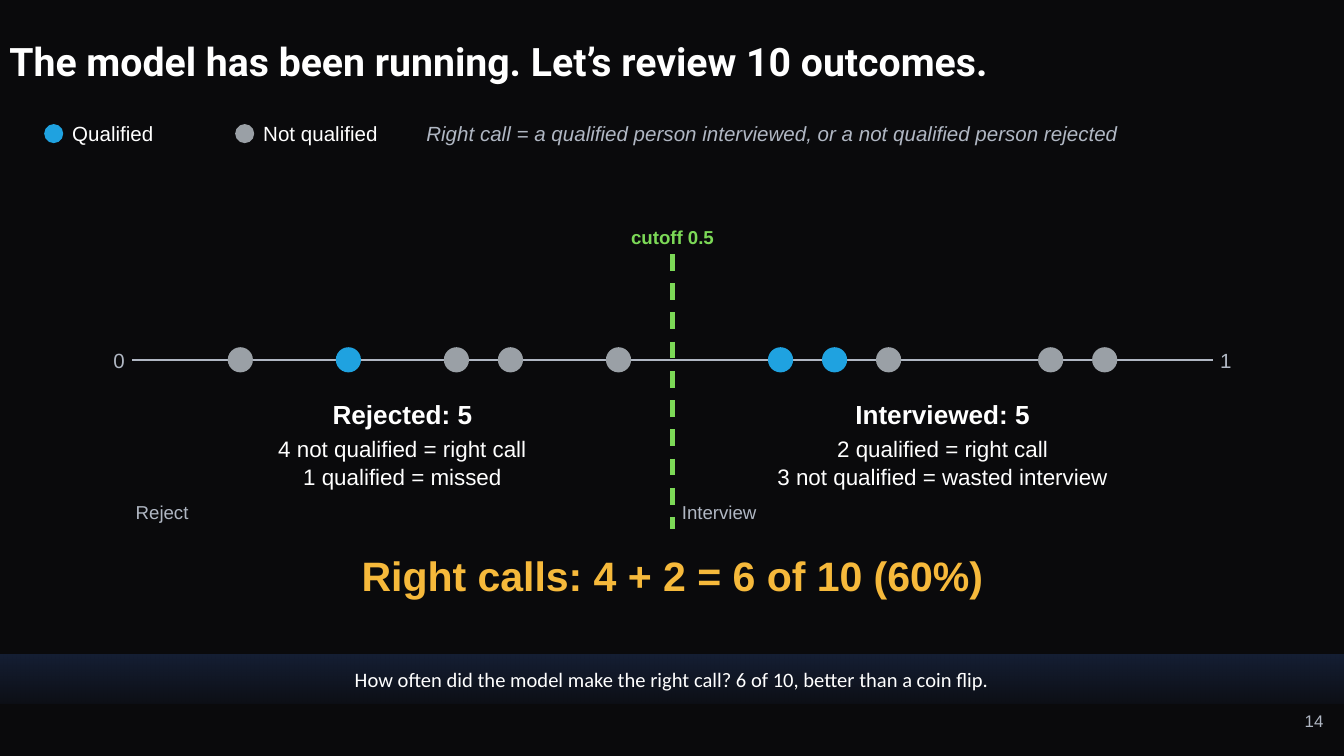
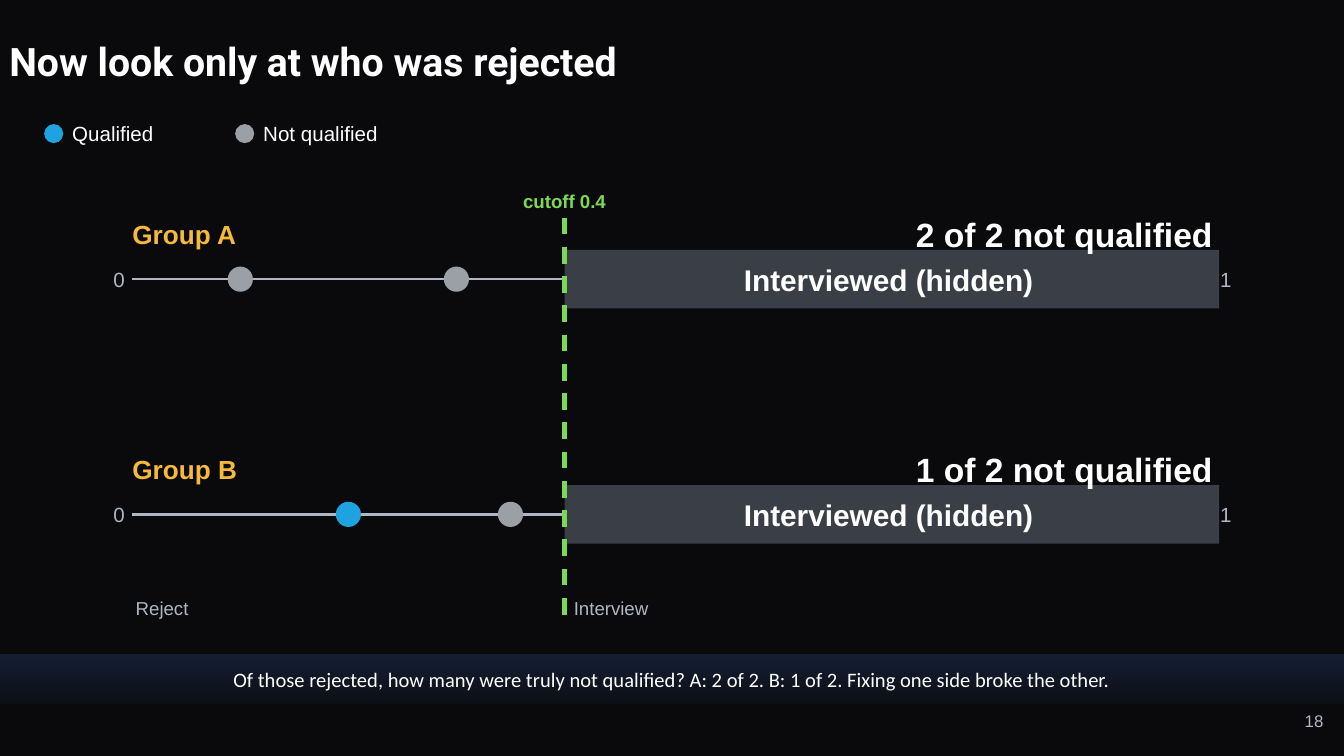
from dataclasses import dataclass

import pptx
import pptx.dml.color
import pptx.enum.dml
import pptx.enum.shapes
import pptx.enum.text
import pptx.oxml
import pptx.oxml.ns
import pptx.shapes.autoshape
import pptx.slide
import pptx.util
from lxml import etree

Pt = pptx.util.Pt
RGBColor = pptx.dml.color.RGBColor
Align = pptx.enum.text.PP_ALIGN
Anchor = pptx.enum.text.MSO_ANCHOR
Preset = pptx.enum.shapes.MSO_SHAPE

BACKGROUND = RGBColor(0x0A, 0x0A, 0x0C)
WHITE = RGBColor(0xFF, 0xFF, 0xFF)
MUTED = RGBColor(0xB0, 0xB7, 0xC3)
BLUE = RGBColor(0x1F, 0xA2, 0xE0)
GREY = RGBColor(0x9A, 0xA0, 0xA6)
GREEN = RGBColor(0x7C, 0xD9, 0x57)
AMBER = RGBColor(0xF6, 0xB9, 0x3B)
MASK = RGBColor(0x3A, 0x3F, 0x47)
BAND = RGBColor(0x1A, 0x28, 0x46)

PAGE_WIDTH, PAGE_HEIGHT = 720, 405
AXIS_LEFT, AXIS_WIDTH = 70.9, 578.8
AXIS_RIGHT = AXIS_LEFT + AXIS_WIDTH
DOT_SIZE = 13.5
LEGEND_DOT_SIZE = 10.2
LEGEND_MIDDLE = 71.6
LABEL_WIDTH = 78.5


@dataclass(frozen=True)
class Style:
    size: float
    color: RGBColor = WHITE
    bold: bool = False
    italic: bool = False
    font: str = "Arial"


TITLE = Style(21, bold=True, font="Roboto")
TAKEAWAY = Style(11, font="Calibri")
LEGEND = Style(11)
NOTE = Style(11, MUTED, italic=True)
AXIS_END = Style(11, MUTED)
SIDE = Style(10, MUTED)
CUTOFF = Style(10, GREEN, bold=True)
TALLY_HEAD = Style(14, bold=True)
TALLY_LINE = Style(12)
TOTAL = Style(22, AMBER, bold=True)
GROUP = Style(14, AMBER, bold=True)
RESULT = Style(18, bold=True)
HIDDEN = Style(16, bold=True)
PAGE_NUMBER = Style(9, MUTED)


@dataclass(frozen=True)
class Person:
    score: float
    qualified: bool = False


@dataclass(frozen=True)
class Track:
    middle: float
    people: tuple[Person, ...]


@dataclass(frozen=True)
class Group:
    name: str
    result: str
    track: Track


@dataclass(frozen=True)
class Tally:
    score: float
    heading: str
    lines: tuple[str, ...]


@dataclass(frozen=True)
class Cutoff:
    score: float
    top: float
    bottom: float


def axis_x(score: float) -> float:
    return AXIS_LEFT + score * AXIS_WIDTH


def write(frame: pptx.text.text.TextFrame, text: str, style: Style, align: Align,
          anchor: Anchor = Anchor.MIDDLE) -> None:
    frame.word_wrap = True
    frame.vertical_anchor = anchor
    frame.margin_left = frame.margin_right = frame.margin_top = frame.margin_bottom = 0
    para = frame.paragraphs[0]
    para.text = text
    para.alignment = align
    font = para.font
    font.name = style.font
    font.size = Pt(style.size)
    font.bold = style.bold
    font.italic = style.italic
    font.color.rgb = style.color


def add_label(page: pptx.slide.Slide, left: float, top: float, width: float, height: float,
              text: str, style: Style, align: Align = Align.LEFT,
              anchor: Anchor = Anchor.MIDDLE) -> pptx.text.text.TextFrame:
    box = page.shapes.add_textbox(Pt(left), Pt(top), Pt(width), Pt(height))
    write(box.text_frame, text, style, align, anchor)
    return box.text_frame


def add_block(page: pptx.slide.Slide, preset: Preset, left: float, top: float, width: float,
              height: float, color: RGBColor) -> pptx.shapes.autoshape.Shape:
    """Add a filled shape without outline or shadow."""
    block = page.shapes.add_shape(preset, Pt(left), Pt(top), Pt(width), Pt(height))
    block.shadow.inherit = False
    block.fill.solid()
    block.fill.fore_color.rgb = color
    block.line.fill.background()
    return block


def add_dot(page: pptx.slide.Slide, center: float, middle: float, size: float,
            qualified: bool) -> None:
    add_block(page, Preset.OVAL, center - size / 2, middle - size / 2, size, size,
              BLUE if qualified else GREY)


def add_line(page: pptx.slide.Slide, start: tuple[float, float], end: tuple[float, float],
             color: RGBColor, weight: float, dashed: bool = False) -> None:
    line = page.shapes.add_connector(pptx.enum.shapes.MSO_CONNECTOR.STRAIGHT,
                                     Pt(start[0]), Pt(start[1]), Pt(end[0]), Pt(end[1]))
    line.line.color.rgb = color
    line.line.width = Pt(weight)
    if dashed:
        line.line.dash_style = pptx.enum.dml.MSO_LINE.DASH
    etree.SubElement(line._element.spPr, pptx.oxml.ns.qn("a:effectLst"))


def add_band(page: pptx.slide.Slide, text: str) -> None:
    """Add the takeaway band, which fades towards its lower edge."""
    band = add_block(page, Preset.RECTANGLE, 0, 350.5, PAGE_WIDTH, 26.6, BAND)
    band.fill.gradient()
    band.fill.gradient_angle = 270
    for stop, opacity in zip(band.fill.gradient_stops, (70, 15)):
        stop.color.rgb = BAND
        color = stop._gs.find(pptx.oxml.ns.qn("a:srgbClr"))
        etree.SubElement(color, pptx.oxml.ns.qn("a:alpha"), val=str(opacity * 1000))
    write(band.text_frame, text, TAKEAWAY, Align.CENTER)


def add_legend(page: pptx.slide.Slide) -> None:
    for left, text, qualified in ((23.7, "Qualified", True), (126, "Not qualified", False)):
        add_dot(page, left + LEGEND_DOT_SIZE / 2, LEGEND_MIDDLE, LEGEND_DOT_SIZE, qualified)
        add_label(page, left + 15, LEGEND_MIDDLE - 7.2, LABEL_WIDTH, 14.4, text, LEGEND)


def add_page(deck: pptx.presentation.Presentation, title: str, takeaway: str,
             number: int) -> pptx.slide.Slide:
    """Add a page with everything the pages share."""
    page = deck.slides.add_slide(deck.slide_layouts[6])
    page.background.fill.solid()
    page.background.fill.fore_color.rgb = BACKGROUND
    frame = add_label(page, 0, 10.8, 711.4, 46.8, title, TITLE)
    frame.margin_left = frame.margin_right = Pt(5)
    frame.margin_top = frame.margin_bottom = Pt(3)
    frame.paragraphs[0].line_spacing = 0.9
    add_band(page, takeaway)
    add_legend(page)
    frame = add_label(page, 669.6, 380.9, 39.4, 17.3, str(number), PAGE_NUMBER, Align.RIGHT,
                      Anchor.TOP)
    frame.word_wrap = False
    return page


def add_track(page: pptx.slide.Slide, track: Track) -> None:
    middle = track.middle
    add_line(page, (AXIS_LEFT, middle), (AXIS_RIGHT, middle), MUTED, 1.25)
    add_label(page, AXIS_LEFT - 15.5, middle - 7.2, 11.5, 14.4, "0", AXIS_END, Align.RIGHT)
    add_label(page, AXIS_RIGHT + 4, middle - 7.2, 11.5, 14.4, "1", AXIS_END)
    for person in track.people:
        add_dot(page, axis_x(person.score), middle, DOT_SIZE, person.qualified)


def add_cutoff(page: pptx.slide.Slide, cutoff: Cutoff) -> None:
    """Add the dashed cutoff, its caption and the names of its two sides."""
    center = axis_x(cutoff.score)
    add_line(page, (center, cutoff.top), (center, cutoff.bottom), GREEN, 2.25, dashed=True)
    add_label(page, center - 27.7, cutoff.top - 17, 55.4, 15.8, f"cutoff {cutoff.score}",
              CUTOFF, Align.CENTER)
    for left, side in ((AXIS_LEFT + 1.8, "Reject"), (center + 5, "Interview")):
        add_label(page, left, cutoff.bottom - 15.8, LABEL_WIDTH, 13.7, side, SIDE)


def add_tally(page: pptx.slide.Slide, tally: Tally) -> None:
    left, width = axis_x(tally.score), AXIS_WIDTH / 2
    add_label(page, left, 212.7, width, 18, tally.heading, TALLY_HEAD, Align.CENTER)
    for row, text in enumerate(tally.lines):
        add_label(page, left, 232.5 + row * 15.4, width, 15.2, text, TALLY_LINE, Align.CENTER)


def add_group(page: pptx.slide.Slide, group: Group, hidden_from: float) -> None:
    """Add a group's track with its interviewed side covered."""
    add_track(page, group.track)
    left, middle = axis_x(hidden_from), group.track.middle
    width = AXIS_RIGHT - left
    add_block(page, Preset.RECTANGLE, left, middle - 15.7, width + 3.4, 31.4, MASK)
    add_label(page, left, middle - 15.7, width, 31.4, "Interviewed (hidden)", HIDDEN,
              Align.CENTER)
    add_label(page, AXIS_LEFT, middle - 33, 118, 17.3, group.name, GROUP)
    add_label(page, AXIS_RIGHT - 252, middle - 34.4, 252, 20.5, group.result, RESULT,
              Align.RIGHT)


def build_outcomes(deck: pptx.presentation.Presentation) -> None:
    page = add_page(deck, "The model has been running. Let’s review 10 outcomes.",
                    "How often did the model make the right call? 6 of 10, better than a coin flip.",
                    14)
    add_label(page, 228.4, LEGEND_MIDDLE - 7.2, 464.4, 14.4,
              "Right call = a qualified person interviewed, or a not qualified person rejected",
              NOTE)
    add_track(page, Track(192.8, (
        Person(0.1), Person(0.3), Person(0.6, True), Person(0.7), Person(0.9),
        Person(0.2, True), Person(0.35), Person(0.45), Person(0.65, True), Person(0.85))))
    add_cutoff(page, Cutoff(0.5, 136, 283.5))
    add_tally(page, Tally(0, "Rejected: 5",
                          ("4 not qualified = right call", "1 qualified = missed")))
    add_tally(page, Tally(0.5, "Interviewed: 5",
                          ("2 qualified = right call", "3 not qualified = wasted interview")))
    add_label(page, AXIS_LEFT, 293, AXIS_WIDTH, 30.2, "Right calls: 4 + 2 = 6 of 10 (60%)",
              TOTAL, Align.CENTER)


def build_rejected(deck: pptx.presentation.Presentation) -> None:
    page = add_page(deck, "Now look only at who was rejected",
                    "Of those rejected, how many were truly not qualified? A: 2 of 2. B: 1 of 2. "
                    "Fixing one side broke the other.", 18)
    cutoff = Cutoff(0.4, 116.6, 334.8)
    for group in (
        Group("Group A", "2 of 2 not qualified", Track(149.6, (Person(0.1), Person(0.3)))),
        Group("Group B", "1 of 2 not qualified", Track(275.6, (Person(0.2, True), Person(0.35)))),
    ):
        add_group(page, group, cutoff.score)
    add_cutoff(page, cutoff)


def main() -> None:
    deck = pptx.Presentation()
    deck.slide_width, deck.slide_height = Pt(PAGE_WIDTH), Pt(PAGE_HEIGHT)
    build_outcomes(deck)
    build_rejected(deck)
    deck.save("out.pptx")


if __name__ == "__main__":
    main()
